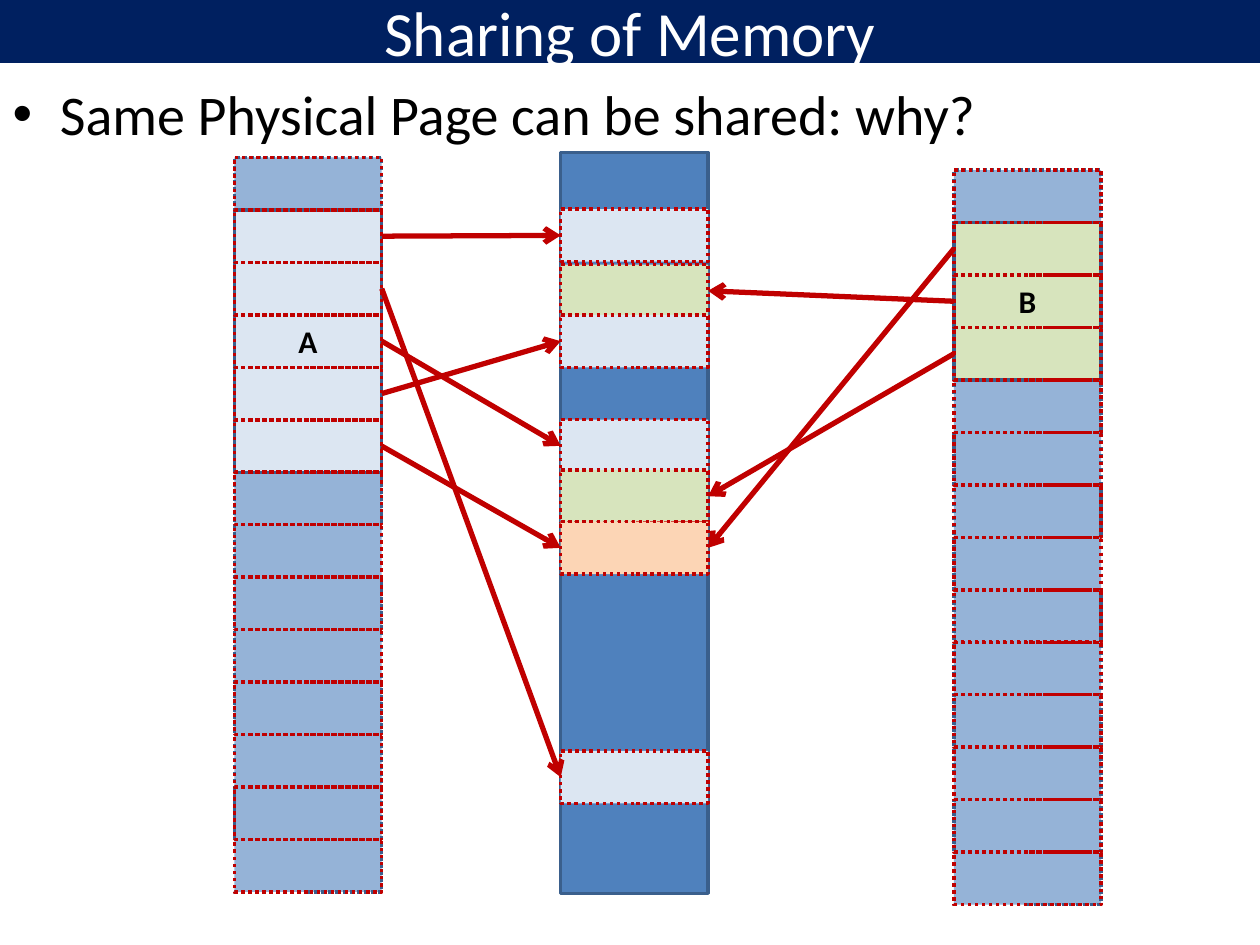
from lxml.etree import SubElement
from pptx import Presentation
from pptx.dml.color import RGBColor
from pptx.enum.dml import MSO_LINE
from pptx.enum.shapes import MSO_CONNECTOR, MSO_SHAPE
from pptx.enum.text import MSO_ANCHOR, MSO_AUTO_SIZE, PP_ALIGN
from pptx.oxml.ns import qn
from pptx.util import Inches, Pt

COLORS = {
    "navy": "002060", "white": "FFFFFF", "black": "000000",
    "unused": "95B3D7", "memory": "4F81BD", "outline": "3A5F8C",
    "page_a": "DCE6F2", "page_b": "D7E4BD", "shared": "FCD5B5",
    "red": "C00000",
}
FONT = "Calibri"
COLUMN_WIDTH = 1.17
SPACE_HEIGHT = 5.83
PAGE_COUNT = 14
PAGE_HEIGHT = SPACE_HEIGHT / PAGE_COUNT
LEFT_SIDE, RIGHT_SIDE = 1, 3

FRAMES = {
    "A1": (1.66, "page_a"), "B2": (2.1, "page_b"), "A4": (2.5, "page_a"),
    "A3": (3.33, "page_a"), "B3": (3.73, "page_b"),
    "shared": (4.14, "shared"), "A2": (5.96, "page_a"),
}
MAPPING_A = {1: "A1", 2: "A2", 3: "A3", 4: "A4", 5: "shared"}
MAPPING_B = {1: "shared", 2: "B2", 3: "B3"}


def rgb(name):
    return RGBColor.from_string(COLORS[name])


def place(part, left, top, width, height):
    part.left, part.top = Inches(left), Inches(top)
    part.width, part.height = Inches(width), Inches(height)


def style(paragraph, size, color, bold=None):
    paragraph.font.name = FONT
    paragraph.font.size = Pt(size)
    paragraph.font.bold = bold
    paragraph.font.color.rgb = rgb(color)


def add_block(slide, left, top, height, fill=None, line="outline", dotted=False):
    block = slide.shapes.add_shape(
        MSO_SHAPE.RECTANGLE, Inches(left), Inches(top),
        Inches(COLUMN_WIDTH), Inches(height))
    block.shadow.inherit = False
    if fill:
        block.fill.solid()
        block.fill.fore_color.rgb = rgb(fill)
    else:
        block.fill.background()
    block.line.color.rgb = rgb(line)
    block.line.width = Pt(2)
    if dotted:
        block.line.dash_style = MSO_LINE.ROUND_DOT
    return block


def add_page(slide, left, top, fill=None):
    return add_block(slide, left, top, PAGE_HEIGHT, fill, "red", True)


def add_title(slide, left, top, width, height):
    title = slide.shapes.title
    place(title, left, top, width, height)
    title.fill.solid()
    title.fill.fore_color.rgb = rgb("navy")
    title.text_frame.text = "Sharing of Memory"
    title.text_frame.auto_size = MSO_AUTO_SIZE.NONE
    title.text_frame.vertical_anchor = MSO_ANCHOR.MIDDLE
    heading = title.text_frame.paragraphs[0]
    heading.alignment = PP_ALIGN.CENTER
    style(heading, 36, "white")


def add_question(slide, left, top, width, height):
    question = slide.placeholders[1]
    place(question, left, top, width, height)
    question.text_frame.text = "Same Physical Page can be shared: why?"
    style(question.text_frame.paragraphs[0], 32, "black")


def add_process(slide, left, top, label, used_count, fill):
    add_block(slide, left, top, SPACE_HEIGHT, "unused", dotted=True)
    used = add_block(slide, left, top + PAGE_HEIGHT, used_count * PAGE_HEIGHT, fill)
    used.text_frame.text = label
    used.text_frame.vertical_anchor = MSO_ANCHOR.MIDDLE
    name = used.text_frame.paragraphs[0]
    name.alignment = PP_ALIGN.CENTER
    style(name, 18, "black", True)
    return [add_page(slide, left, top + i * PAGE_HEIGHT) for i in range(PAGE_COUNT)]


def add_physical_memory(slide, left, top, height):
    add_block(slide, left, top, height, "memory")
    return {name: add_page(slide, left, frame_top, fill)
            for name, (frame_top, fill) in FRAMES.items()}


def add_mapping(slide, pages, frames, mapping, page_side, frame_side):
    for page, frame in mapping.items():
        arrow = slide.shapes.add_connector(MSO_CONNECTOR.STRAIGHT, 0, 0, 0, 0)
        arrow.begin_connect(pages[page], page_side)
        arrow.end_connect(frames[frame], frame_side)
        arrow.line.color.rgb = rgb("red")
        arrow.line.width = Pt(3)
        SubElement(arrow.line._get_or_add_ln(), qn("a:tailEnd"), type="arrow")
        SubElement(arrow._element.spPr, qn("a:effectLst"))


def main():
    deck = Presentation()
    deck.slide_width, deck.slide_height = Inches(10), Inches(7.5)
    slide = deck.slides.add_slide(deck.slide_layouts[1])
    add_title(slide, 0, 0, 10, 0.5)
    add_question(slide, 0, 0.58, 10, 6.92)
    pages_a = add_process(slide, 1.86, 1.25, "A", len(MAPPING_A), "page_a")
    frames = add_physical_memory(slide, 4.45, 1.21, 5.88)
    pages_b = add_process(slide, 7.57, 1.35, "B", len(MAPPING_B), "page_b")
    add_mapping(slide, pages_a, frames, MAPPING_A, RIGHT_SIDE, LEFT_SIDE)
    add_mapping(slide, pages_b, frames, MAPPING_B, LEFT_SIDE, RIGHT_SIDE)
    deck.save("out.pptx")


if __name__ == "__main__":
    main()
